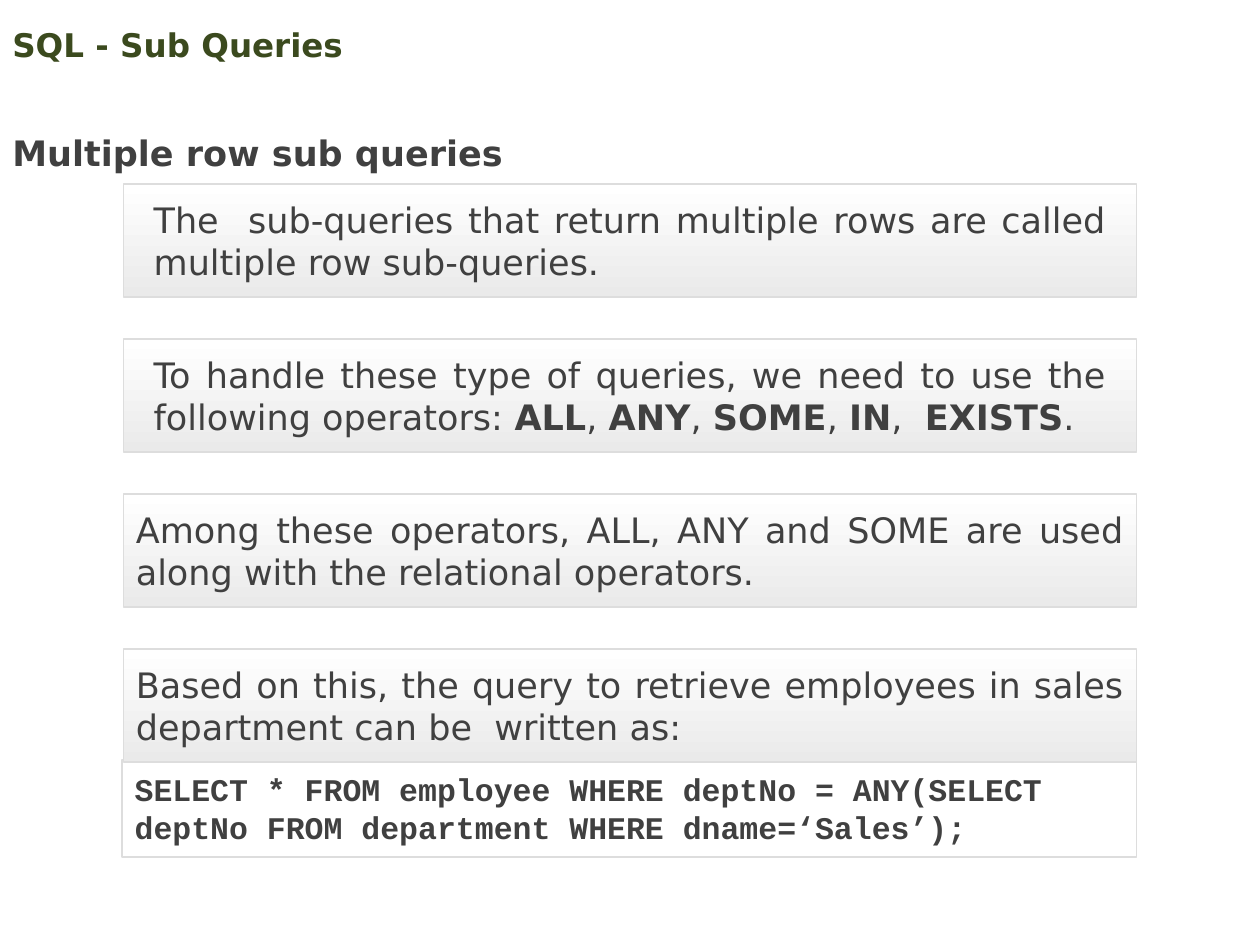
from pptx import Presentation
from pptx.dml.color import RGBColor
from pptx.enum.shapes import MSO_SHAPE as Shape
from pptx.enum.text import MSO_ANCHOR as Anchor, MSO_AUTO_SIZE as Fit, PP_ALIGN as Align
from pptx.util import Inches, Pt

WHITE = RGBColor(0xFF, 0xFF, 0xFF)
PALE = RGBColor(0xEA, 0xEA, 0xEA)
EDGE = RGBColor(0xDD, 0xDD, 0xDD)
GREY = RGBColor(0x40, 0x40, 0x40)
GREEN = RGBColor(0x3B, 0x4A, 0x1E)
SANS = "DejaVu Sans"
MONO = "Courier New"


def add_panel(left, top, width, height):
    panel = slide.shapes.add_shape(
        Shape.RECTANGLE, Inches(left), Inches(top), Inches(width), Inches(height))
    panel.shadow.inherit = False
    panel.line.color.rgb = EDGE
    panel.line.width = Pt(1)
    return panel


def fill_text(shape, runs, size, font=SANS, color=GREY, align=Align.LEFT,
              anchor=Anchor.MIDDLE, side=0.1, edge=0):
    """Write (text, bold) runs as one paragraph; side and edge are insets in inches."""
    frame = shape.text_frame
    frame.word_wrap = True
    frame.vertical_anchor = anchor
    frame.margin_left = frame.margin_right = Inches(side)
    frame.margin_top = frame.margin_bottom = Inches(edge)
    para = frame.paragraphs[0]
    para.alignment = align
    for text, bold in runs:
        run = para.add_run()
        run.text = text
        run.font.name = font
        run.font.size = Pt(size)
        run.font.bold = bold
        run.font.color.rgb = color
    return frame


prs = Presentation()
prs.slide_width = Inches(10)
prs.slide_height = Inches(7.5)
slide = prs.slides.add_slide(prs.slide_layouts[6])

# Query, behind the last panel
code = add_panel(0.97, 6.03, 8.05, 0.77)
code.fill.background()
query = ("SELECT * FROM employee WHERE deptNo = ANY(SELECT deptNo "
         "FROM department WHERE dname=‘Sales’);")
fill_text(code, [(query, True)], 18, MONO)

# Headings
title = slide.shapes.add_textbox(0, Inches(0.14), Inches(9), Inches(0.43))
fill_text(title, [("SQL - Sub Queries", True)], 18.6, color=GREEN, edge=0.05)

topic = slide.shapes.add_textbox(0, Inches(0.83), Inches(7.09), Inches(0.6))
frame = fill_text(topic, [("Multiple row sub queries", True)], 20,
                  anchor=Anchor.TOP, edge=0.05)
frame.auto_size = Fit.SHAPE_TO_FIT_TEXT
frame.paragraphs[0].line_spacing = 1.5

# Explanation panels: side inset and runs
notes = [
    (0.24, [("The  sub-queries that return multiple rows are called "
             "multiple row sub-queries. ", False)]),
    (0.24, [("To handle these type of queries, we need to use the "
             "following operators: ", False),
            ("ALL", True), (", ", False), ("ANY", True), (", ", False),
            ("SOME", True), (", ", False), ("IN", True), (",  ", False),
            ("EXISTS", True), (".", False)]),
    (0.1, [("Among these operators, ALL, ANY and SOME are used along "
            "with the relational operators.", False)]),
    (0.1, [("Based on this, the query to retrieve employees in sales "
            "department can be  written as:", False)]),
]
for i, (side, runs) in enumerate(notes):
    panel = add_panel(0.98, 1.46 + 1.23 * i, 8.04, 0.9)
    panel.fill.gradient()
    panel.fill.gradient_angle = 270
    for stop, color in zip(panel.fill.gradient_stops, (WHITE, PALE)):
        stop.color.rgb = color
    fill_text(panel, runs, 20, align=Align.JUSTIFY, side=side)

prs.save("out.pptx")
